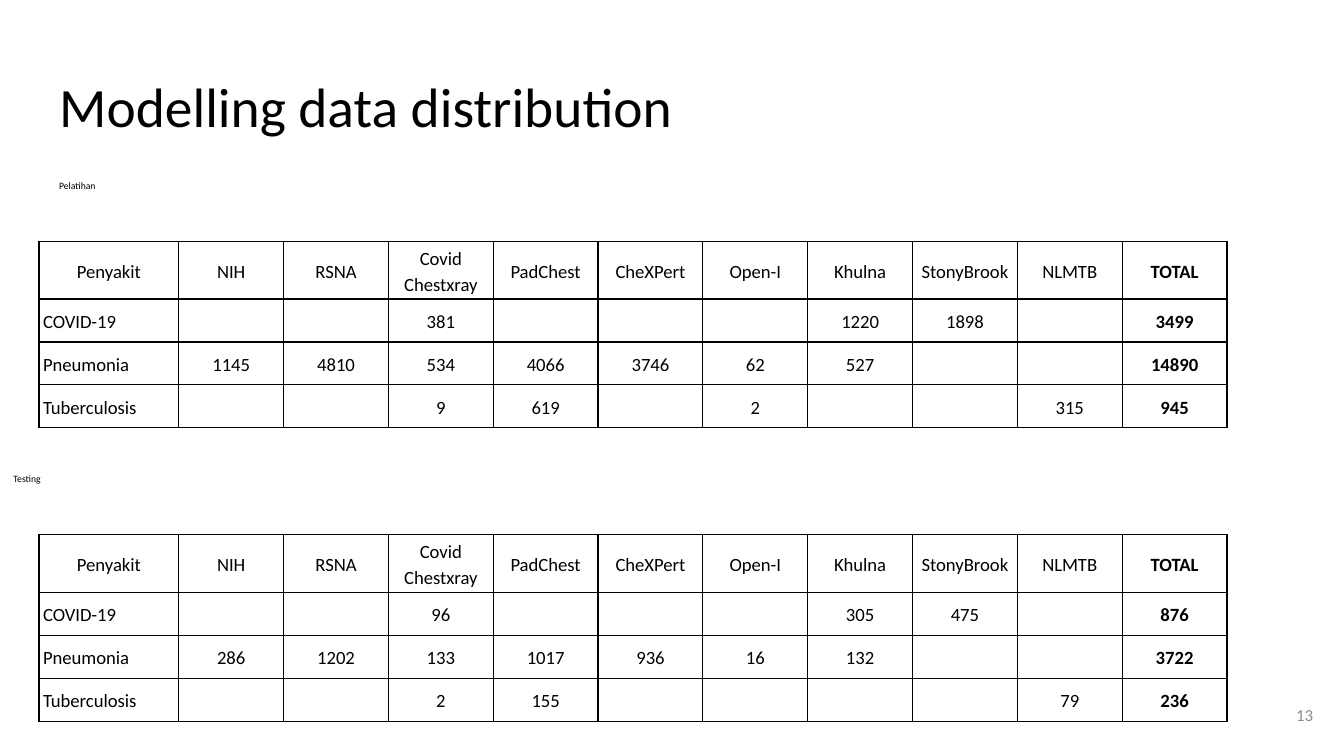
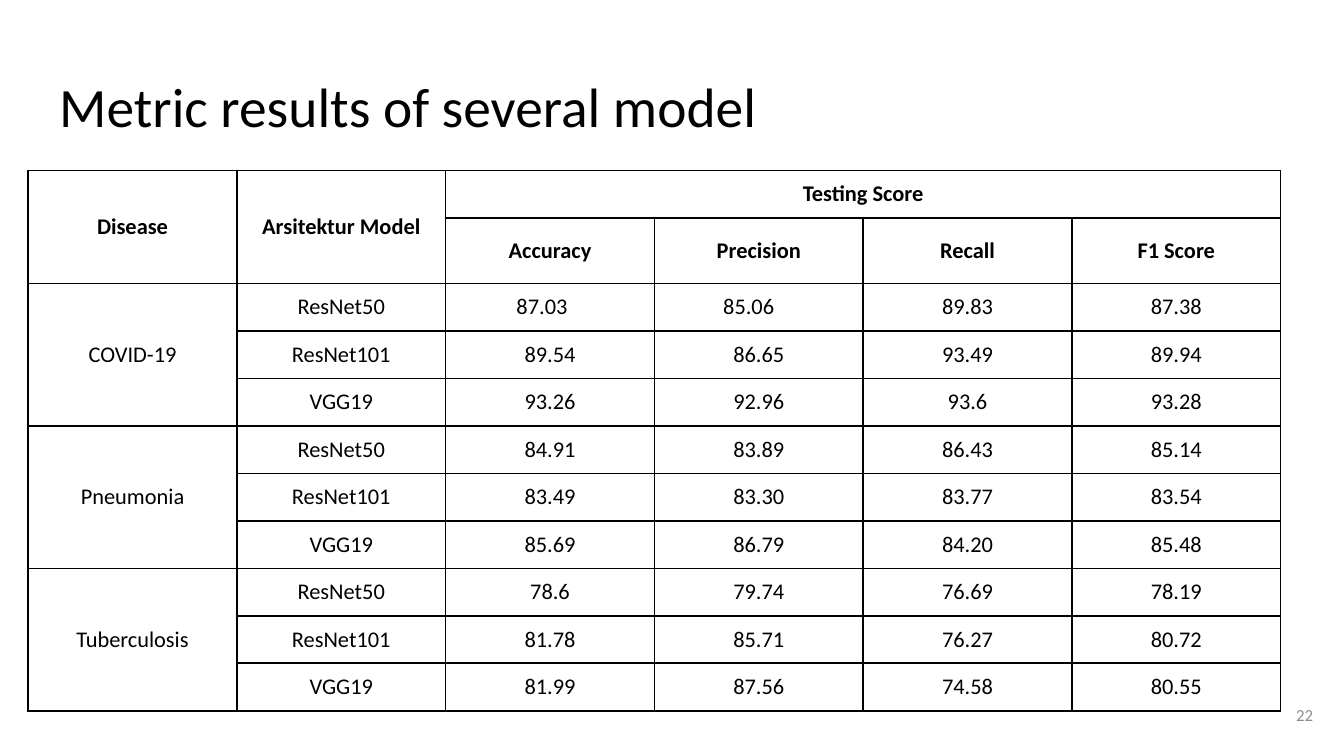
from lxml import etree
from pptx import Presentation, util as u
from pptx.dml.color import RGBColor
from pptx.enum import text
from pptx.oxml import ns

FONT, INK, GREY, PAPER = "Calibri", "000000", "8C8C8C", "FFFFFF"
WIDE, HIGH = u.Inches(10), u.Inches(5.625)
LEFT, MID, RIGHT = text.PP_ALIGN.LEFT, text.PP_ALIGN.CENTER, text.PP_ALIGN.RIGHT

SITES = ("Penyakit|NIH|RSNA|Covid Chestxray|PadChest|CheXPert|Open-I|"
         "Khulna|StonyBrook|NLMTB|TOTAL")
TRAIN = [SITES,
         "COVID-19|||381||||1220|1898||3499",
         "Pneumonia|1145|4810|534|4066|3746|62|527|||14890",
         "Tuberculosis|||9|619||2|||315|945"]
TEST = [SITES,
        "COVID-19|||96||||305|475||876",
        "Pneumonia|286|1202|133|1017|936|16|132|||3722",
        "Tuberculosis|||2|155|||||79|236"]
SCORES = ["Disease|Arsitektur Model|Testing Score|||",
          "||Accuracy|Precision|Recall|F1 Score",
          "COVID-19|ResNet50|87.03|85.06|89.83|87.38",
          "|ResNet101|89.54|86.65|93.49|89.94",
          "|VGG19|93.26|92.96|93.6|93.28",
          "Pneumonia|ResNet50|84.91|83.89|86.43|85.14",
          "|ResNet101|83.49|83.30|83.77|83.54",
          "|VGG19|85.69|86.79|84.20|85.48",
          "Tuberculosis|ResNet50|78.6|79.74|76.69|78.19",
          "|ResNet101|81.78|85.71|76.27|80.72",
          "|VGG19|81.99|87.56|74.58|80.55"]


def color(code):
    return RGBColor.from_string(code)


def area(x, y, w, h):
    """Turn percentages of the slide into a box."""
    return [int(p * side / 100) for p, side in
            zip((x, y, w, h), (WIDE, HIGH, WIDE, HIGH))]


def place(shape, box):
    shape.left, shape.top, shape.width, shape.height = box


def pad(item, left, top, right, low):
    item.margin_left, item.margin_top = u.Inches(left), u.Inches(top)
    item.margin_right, item.margin_bottom = u.Inches(right), u.Inches(low)


def style(para, size, code=INK, bold=False, align=LEFT, lead=1.0):
    para.alignment, para.line_spacing = align, lead
    font = para.runs[0].font if para.runs else para.font
    font.name, font.size, font.bold = FONT, u.Pt(size), bold
    font.color.rgb = color(code)


def write(shape, words, box, size, anchor=text.MSO_ANCHOR.TOP, **look):
    place(shape, box)
    frame = shape.text_frame
    frame.word_wrap, frame.auto_size = True, text.MSO_AUTO_SIZE.NONE
    frame.vertical_anchor = anchor
    pad(frame, 0.1, 0.1, 0.1, 0.1)
    frame.text = words
    style(frame.paragraphs[0], size, **look)
    return frame.paragraphs[0]


def label(shape, words, x, y):
    para = write(shape, words, area(x, y, 93.2, 7.5), 5.2, lead=0.7)
    para.space_before, para.space_after = u.Pt(0), u.Pt(12)
    props = para._p.get_or_add_pPr()
    props.set("marL", "0")
    props.set("indent", "0")
    etree.SubElement(props, ns.qn("a:buNone"))


def start(deck, layout, title, number):
    """Add a slide with its title and page number."""
    slide = deck.slides.add_slide(deck.slide_layouts[layout])
    write(slide.shapes.title, title, area(3.4, 8.7, 93.2, 11.2), 29.7, lead=0.9)
    box = area(92.7, 90.7, 6, 7.6)
    write(slide.shapes.add_textbox(*box), str(number), box, 9,
          text.MSO_ANCHOR.MIDDLE, code=GREY, align=RIGHT)
    return slide


def frame_cell(cell, width):
    props = cell._tc.get_or_add_tcPr()
    for side in ("lnL", "lnR", "lnT", "lnB"):
        line = etree.SubElement(props, ns.qn("a:" + side), w=str(u.Pt(width)))
        fill = etree.SubElement(line, ns.qn("a:solidFill"))
        etree.SubElement(fill, ns.qn("a:srgbClr"), val=INK)


def grid(slide, lines, box, cols, rows, edge):
    """Add a bare ruled table and return it."""
    table = slide.shapes.add_table(len(rows), len(cols), *box).table
    table.first_row = table.horz_banding = False
    for parts, sizes in ((table.columns, cols), (table.rows, rows)):
        for part, size in zip(parts, sizes):
            if parts is table.columns:
                part.width = u.Inches(size)
            else:
                part.height = u.Inches(size)
    for r, line in enumerate(lines):
        for c, words in enumerate(line.split("|")):
            cell = table.cell(r, c)
            cell.text = words
            cell.vertical_anchor = text.MSO_ANCHOR.MIDDLE
            frame_cell(cell, edge)
            cell.fill.background()
    return table


def counts(slide, lines, y):
    cols = [1.04] + [0.78] * 10
    table = grid(slide, lines, area(2.9, y, 88.5, 24.7), cols,
                 [0.43] + [0.32] * 3, 0.75)
    for r in range(len(lines)):
        for c in range(len(cols)):
            cell = table.cell(r, c)
            pad(cell, 0.03, 0.02, 0.03, 0.02)
            style(cell.text_frame.paragraphs[0], 10, bold=c == 10,
                  align=LEFT if r and not c else MID, lead=1.15)


def scores(slide):
    rows = [0.35] * len(SCORES)
    rows[1] = 0.49
    rows[2:] = [(4.02 - 0.35 - 0.49) / 9] * 9
    table = grid(slide, SCORES, area(2.1, 22.58, 93.2, 71.5),
                 [9.32 / 6] * 6, rows, 1)
    shift = {(2, 2): 0.12, (2, 3): 0.15}
    for r in range(len(rows)):
        for c in range(6):
            cell = table.cell(r, c)
            value = r > 1 and c > 1
            gap = 0.03 if value else 0.07
            pad(cell, gap, gap, gap + shift.get((r, c), 0), gap)
            style(cell.text_frame.paragraphs[0], 12, bold=r < 2, align=MID)
            if value:
                cell.fill.solid()
                cell.fill.fore_color.rgb = color(PAPER)
    spans = [(0, 0, 1, 0), (0, 1, 1, 1), (0, 2, 0, 5)]
    spans += [(r, 0, r + 2, 0) for r in (2, 5, 8)]
    for top, left, low, right in spans:
        table.cell(top, left).merge(table.cell(low, right))


def main():
    deck = Presentation()
    deck.slide_width, deck.slide_height = WIDE, HIGH
    back = deck.slide_master.background.fill
    back.solid()
    back.fore_color.rgb = color(PAPER)

    slide = start(deck, 3, "Modelling data distribution", 13)
    label(slide.placeholders[1], "Pelatihan", 3.4, 22.4)
    label(slide.placeholders[2], "Testing", 0, 61.2)
    counts(slide, TEST, 70.7)
    counts(slide, TRAIN, 31.9)

    scores(start(deck, 5, "Metric results of several model", 22))
    deck.save("out.pptx")


if __name__ == "__main__":
    main()
